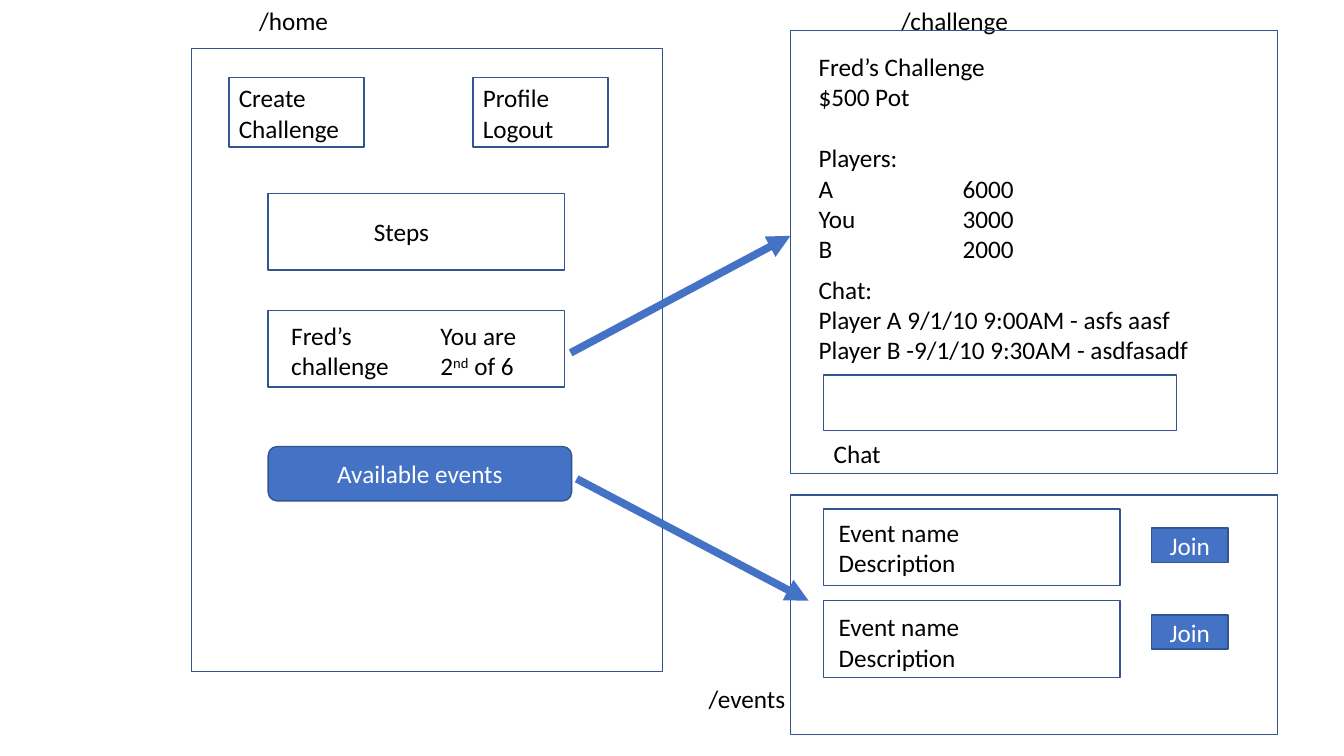
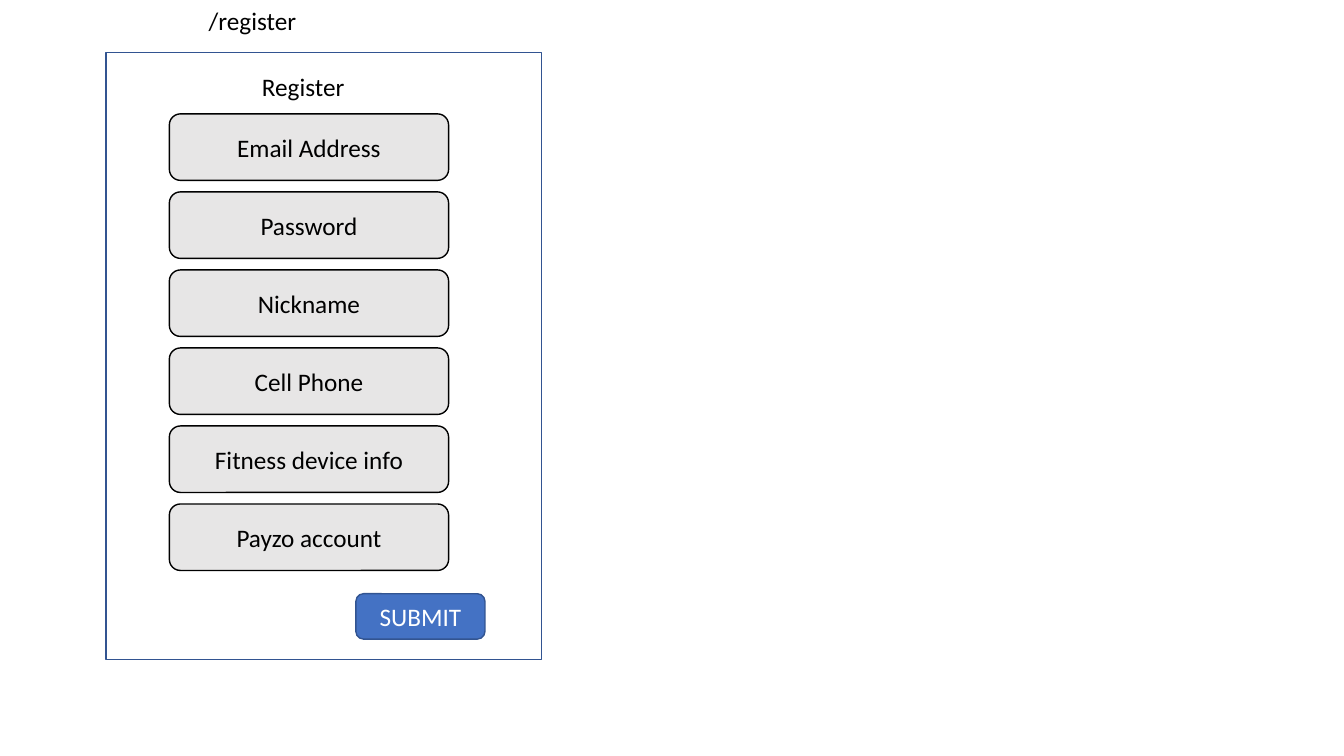
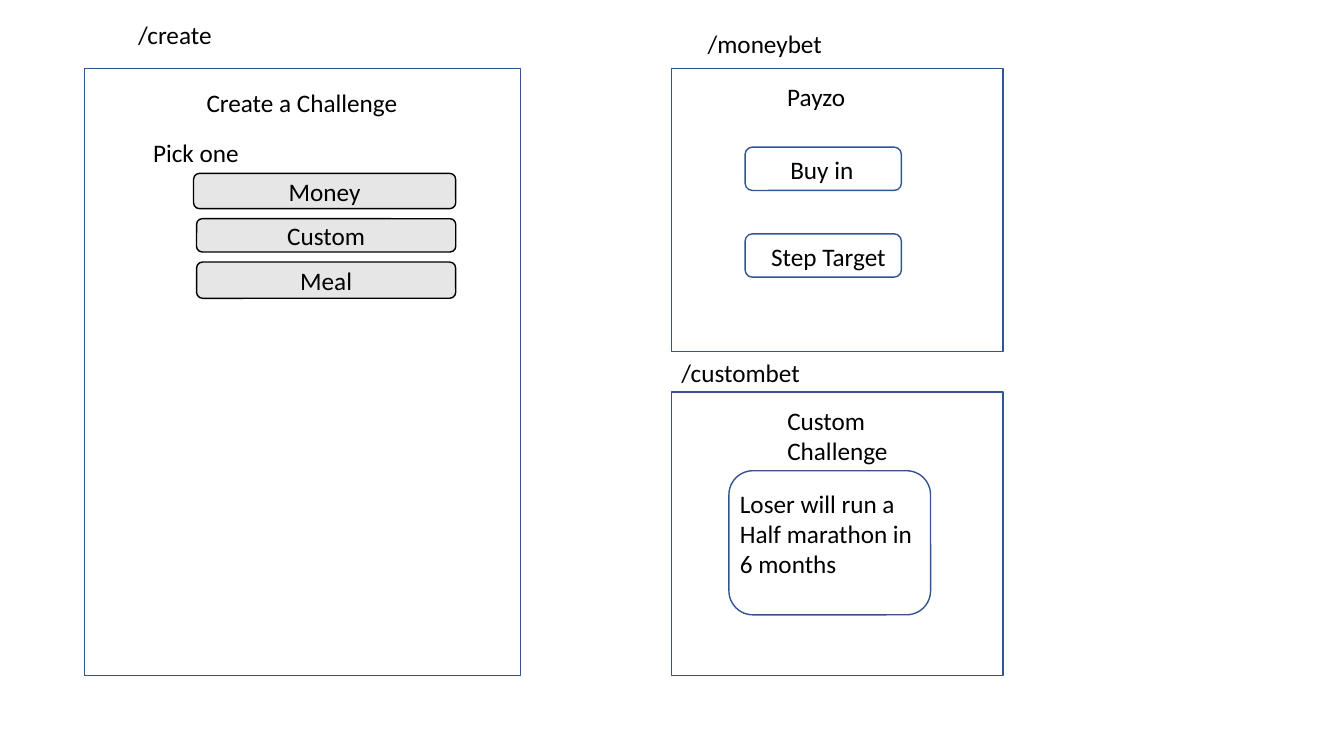
from dataclasses import dataclass
from typing import Optional, Union

from lxml.etree import SubElement
from pptx import Presentation
from pptx.dml.color import RGBColor
from pptx.enum.shapes import MSO_CONNECTOR, MSO_SHAPE
from pptx.enum.text import MSO_ANCHOR, MSO_AUTO_SIZE, PP_ALIGN
from pptx.oxml.ns import qn
from pptx.slide import Slide
from pptx.text.text import TextFrame, _Paragraph
from pptx.util import Inches, Pt

# Shared look
BLUE = RGBColor(0x44, 0x72, 0xC4)
NAVY = RGBColor(0x32, 0x54, 0x91)
GREY = RGBColor(0xE7, 0xE6, 0xE6)
BLACK = RGBColor(0, 0, 0)
WHITE = RGBColor(0xFF, 0xFF, 0xFF)
FONT = "Calibri"
TEXT_SIZE = Pt(18)
LINE_HEIGHT = Pt(22)
SUPERSCRIPT = "30000"

# All lengths are counted in square grid cells
CELL = Inches(0.1)
SCORE_TAB = 14.3
TEXT_ROWS = 4


def cells(count: float) -> int:
    return round(count * CELL)


@dataclass(frozen=True)
class Look:
    fill: Optional[RGBColor]
    line: RGBColor
    text: RGBColor


OUTLINE = Look(None, NAVY, BLACK)
ACTION = Look(BLUE, NAVY, WHITE)
FIELD = Look(GREY, BLACK, BLACK)


@dataclass(frozen=True)
class Panel:
    left: float
    top: float
    width: float
    height: float
    look: Look = OUTLINE
    text: str = ""
    rounded: bool = False


@dataclass(frozen=True)
class Label:
    """Left-aligned text: one paragraph per line, ^marks^ around superscript."""
    left: float
    top: float
    width: float
    text: str
    wrap: bool = False
    rows: float = TEXT_ROWS
    gap_before: str = ""
    score_tab: bool = False


@dataclass(frozen=True)
class Arrow:
    start: tuple[float, float]
    end: tuple[float, float]


Part = Union[Panel, Label, Arrow]


def style_paragraph(para: _Paragraph, color: RGBColor, align: PP_ALIGN) -> None:
    para.alignment = align
    para.font.name = FONT
    para.font.size = TEXT_SIZE
    para.font.color.rgb = color


def write_line(para: _Paragraph, line: str) -> None:
    for index, piece in enumerate(line.split("^")):
        span = para.add_run()
        span.text = piece
        if index % 2:
            span._r.get_or_add_rPr().set("baseline", SUPERSCRIPT)


def add_score_tab(para: _Paragraph) -> None:
    tabs = SubElement(para._p.get_or_add_pPr(), qn("a:tabLst"))
    SubElement(tabs, qn("a:tab"), pos=str(cells(SCORE_TAB)), algn="l")


def fill_label(frame: TextFrame, label: Label) -> None:
    frame.word_wrap = label.wrap
    frame.auto_size = MSO_AUTO_SIZE.SHAPE_TO_FIT_TEXT
    frame.vertical_anchor = MSO_ANCHOR.TOP
    for index, line in enumerate(label.text.split("\n")):
        para = frame.add_paragraph() if index else frame.paragraphs[0]
        write_line(para, line)
        if line == label.gap_before:
            para.space_before = LINE_HEIGHT
        if label.score_tab and "\t" in line:
            add_score_tab(para)
        style_paragraph(para, BLACK, PP_ALIGN.LEFT)


def draw_label(page: Slide, label: Label) -> None:
    box = page.shapes.add_textbox(cells(label.left), cells(label.top),
                                  cells(label.width), cells(label.rows))
    fill_label(box.text_frame, label)


def draw_title(page: Slide, label: Label) -> None:
    title = page.shapes.title
    title.left, title.top = cells(label.left), cells(label.top)
    title.width, title.height = cells(label.width), cells(label.rows)
    fill_label(title.text_frame, label)


def draw_panel(page: Slide, panel: Panel) -> None:
    preset = MSO_SHAPE.ROUNDED_RECTANGLE if panel.rounded else MSO_SHAPE.RECTANGLE
    box = page.shapes.add_shape(preset, cells(panel.left), cells(panel.top),
                                cells(panel.width), cells(panel.height))
    box.shadow.inherit = False
    box.line.color.rgb = panel.look.line
    box.line.width = Pt(1)
    if panel.look.fill is None:
        box.fill.background()
    else:
        box.fill.solid()
        box.fill.fore_color.rgb = panel.look.fill
    if panel.text:
        box.text_frame.text = panel.text
        box.text_frame.vertical_anchor = MSO_ANCHOR.MIDDLE
        style_paragraph(box.text_frame.paragraphs[0], panel.look.text, PP_ALIGN.CENTER)


def draw_arrow(page: Slide, arrow: Arrow) -> None:
    link = page.shapes.add_connector(
        MSO_CONNECTOR.STRAIGHT, *map(cells, arrow.start + arrow.end))
    link.line.color.rgb = BLUE
    link.line.width = Pt(5.5)
    SubElement(link.line._get_or_add_ln(), qn("a:tailEnd"), type="triangle")
    SubElement(link._element.spPr, qn("a:effectLst"))


def draw_page(deck: Presentation, title: Label, parts: list[Part]) -> None:
    title_only = deck.slide_layouts.get_by_name("Title Only")
    page = deck.slides.add_slide(title_only)
    draw_title(page, title)
    painters = {Panel: draw_panel, Label: draw_label, Arrow: draw_arrow}
    for part in parts:
        painters[type(part)](page, part)


def event_row(box_top: float, text_top: float, join_top: float) -> list[Part]:
    return [
        Panel(81.7, box_top, 29.4, 7.6),
        Label(82.2, text_top, 14.1, "Event name\nDescription", rows=7.1),
        Panel(114.2, join_top, 7.6, 3.4, ACTION, "Join"),
    ]


# Home page with the challenge and events pages it leads to
home: list[Part] = [
    Panel(19, 4.8, 46.7, 61.8),
    Panel(22.7, 7.7, 13.4, 6.9),
    Label(22.7, 7.7, 12.1, "Create\nChallenge", rows=7.1),
    Panel(46.9, 7.7, 13.4, 6.9),
    Label(46.9, 7.7, 9.1, "Profile\nLogout", rows=7.1),
    Panel(26.6, 19.2, 29.4, 7.6),
    Label(36.1, 21, 7.6, "Steps"),
    Panel(26.6, 30.8, 29.4, 7.6),
    Label(27.9, 31.3, 12.1, "Fred’s challenge", wrap=True, rows=7.1),
    Label(42.7, 31.3, 12.1, "You are\n2^nd^ of 6", wrap=True, rows=7.1),
    Panel(26.6, 44.3, 30.1, 5.4, ACTION, "Available events", rounded=True),
]
challenge: list[Part] = [
    Label(88.4, 0, 12.8, "/challenge"),
    Panel(78.4, 3, 48.3, 44),
    Label(80.2, 4.6, 36.5,
          "Fred’s Challenge\n$500 Pot\nPlayers:\nA\t6000\nYou\t3000\nB\t2000",
          wrap=True, rows=22.2, gap_before="Players:", score_tab=True),
    Label(80.2, 26.7, 39.1,
          "Chat:\nPlayer A 9/1/10 9:00AM - asfs aasf\n"
          "Player B -9/1/10 9:30AM - asdfasadf", rows=10.1),
    Panel(81.7, 37.2, 35, 5.5),
    Label(81.7, 43, 6.7, "Chat"),
]
events: list[Part] = [
    Label(69.3, 67.3, 9.7, "/events"),
    Panel(78.4, 49.1, 48.3, 23.8),
    *event_row(50.5, 50.8, 52.4),
    *event_row(59.6, 60.2, 61),
]
routes: list[Part] = [
    Arrow((56.6, 35), (78.4, 23.4)),
    Arrow((57.2, 47.5), (80.2, 59.6)),
]

# Registration form
FIELD_TOP, FIELD_PITCH = 11.3, 7.74
field_names = ["Email Address", "Password", "Nickname", "Cell Phone",
               "Fitness device info", "Payzo account"]
register: list[Part] = [
    Panel(10.5, 5.2, 43.2, 60.2),
    Label(25, 6.6, 10.3, "Register"),
    *(Panel(16.8, FIELD_TOP + row * FIELD_PITCH, 27.7, 6.6, FIELD, name, rounded=True)
      for row, name in enumerate(field_names)),
    Panel(35.3, 58.9, 12.8, 4.5, ACTION, "SUBMIT", rounded=True),
]

# Challenge creation with the two bet pages
create: list[Part] = [
    Panel(8.4, 6.8, 43.2, 60.2),
    Label(19.5, 8.2, 21.2, "Create a Challenge"),
    Label(14.2, 13.1, 10.6, "Pick one"),
    Panel(19.2, 17.2, 26, 3.5, FIELD, "Money", rounded=True),
    Panel(19.5, 21.7, 25.7, 3.3, FIELD, "Custom", rounded=True),
    Panel(19.5, 26, 25.7, 3.6, FIELD, "Meal", rounded=True),
]
money_bet: list[Part] = [
    Label(69.2, 2.3, 13.5, "/moneybet"),
    Panel(66.6, 6.8, 32.9, 28.1),
    Label(77.1, 7.6, 9.3, "Payzo"),
    Panel(73.9, 14.6, 15.5, 4.3, rounded=True),
    Label(77.4, 14.8, 8.3, "Buy in"),
    Panel(73.9, 23.2, 15.5, 4.3, rounded=True),
    Label(75.5, 23.4, 13.5, "Step Target"),
]
custom_bet: list[Part] = [
    Label(66.6, 35, 13.9, "/custombet"),
    Panel(66.6, 38.9, 32.9, 28.1),
    Label(77.1, 39.7, 12.1, "Custom\nChallenge", rows=7.1),
    Panel(72.3, 46.7, 20, 14.3, rounded=True),
    Label(72.4, 47.9, 19.9, "Loser will run a\nHalf marathon in\n6 months", rows=10.1),
]

deck = Presentation()
deck.slide_width, deck.slide_height = Inches(13.33), Inches(7.5)
draw_page(deck, Label(24.7, 0, 8.9, "/home"), home + challenge + events + routes)
draw_page(deck, Label(19.7, 0, 10.8, "/register"), register)
draw_page(deck, Label(12.7, 1.4, 9.4, "/create"), create + money_bet + custom_bet)
deck.save("out.pptx")
